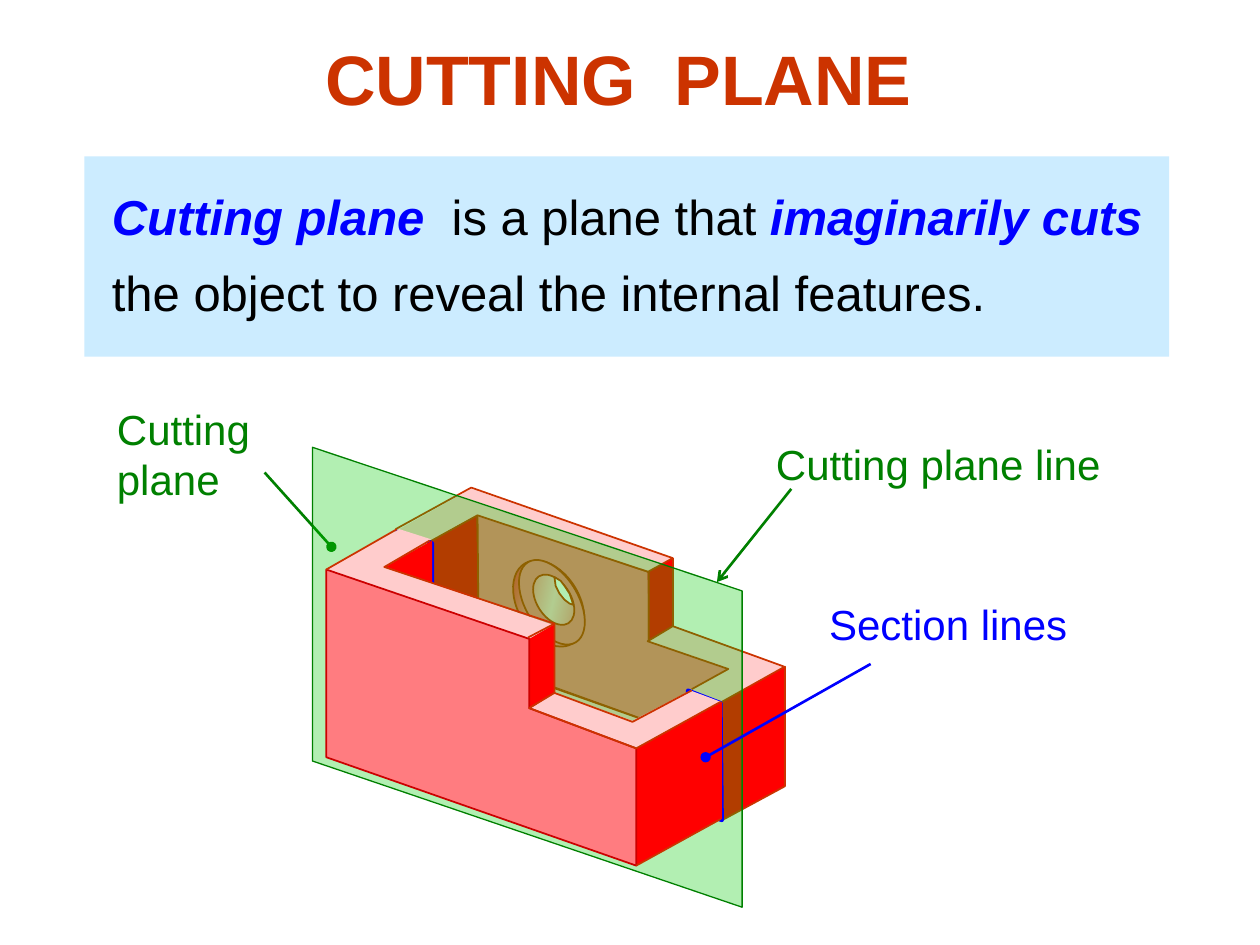
from copy import deepcopy

from lxml.etree import SubElement
from pptx import Presentation
from pptx.dml.color import RGBColor
from pptx.enum.shapes import MSO_CONNECTOR as Connector, MSO_SHAPE as Preset
from pptx.enum.text import MSO_ANCHOR as Anchor, MSO_AUTO_SIZE as AutoSize, PP_ALIGN as Align
from pptx.oxml.ns import qn
from pptx.util import Emu, Pt

SCALE = 9144
COLORS = {
    "title": "CC3300", "edge": "CC3300", "front edge": "CC0000", "green": "008000",
    "glass": "00CC00", "blue": "0000FF", "black": "000000", "panel": "CCECFF",
    "red": "FF0000", "top": "FFCCCC", "face": "FF7C80", "white": "FFFFFF",
    "rim light": "FFB2B2", "hole light": "FFCDCE",
}


def px(value):
    return Emu(value * SCALE)


def rgb(name):
    return RGBColor.from_string(COLORS[name])


class SlideBuilder:
    font = "Arial"

    def __init__(self, page):
        self.page = page
        self.shapes = page.shapes

    def style(self, shape, fill=None, line=None, width=1.0):
        shape.shadow.inherit = False
        if fill:
            shape.fill.solid()
            shape.fill.fore_color.rgb = rgb(fill)
        else:
            shape.fill.background()
        if line:
            shape.line.color.rgb = rgb(line)
            shape.line.width = Pt(width)
        else:
            shape.line.fill.background()
        return shape

    def rectangle(self, left, top, width, height, fill):
        box = self.shapes.add_shape(Preset.RECTANGLE, *map(px, (left, top, width, height)))
        return self.style(box, fill)

    def ellipse(self, left, top, width, height, rotation, dark, light=None):
        oval = self.shapes.add_shape(Preset.OVAL, *map(px, (left, top, width, height)))
        self.style(oval, dark, "edge")
        oval.rotation = rotation
        if light:
            oval.fill.gradient()
            oval.fill.gradient_angle = 315
            stops = oval._element.spPr.find(".//" + qn("a:gsLst"))
            stops.insert(1, deepcopy(stops[0]))
            for stop, position, color in zip(oval.fill.gradient_stops, (0, 0.5, 1), (dark, light, dark)):
                stop.position = position
                stop.color.rgb = rgb(color)

    def outline(self, points, fill=None, line=None, width=1.0, closed=False, alpha=None):
        builder = self.shapes.build_freeform(*points[0], scale=SCALE)
        builder.add_line_segments(points[1:], close=closed or bool(fill))
        shape = self.style(builder.convert_to_shape(), fill, line, width)
        if alpha:
            color = shape._element.spPr.find(qn("a:solidFill"))[0]
            SubElement(color, qn("a:alpha"), val=str(alpha * 1000))

    def line(self, start, end, color="edge", width=1.0, head=None):
        link = self.shapes.add_connector(Connector.STRAIGHT, *map(px, (*start, *end)))
        link.line.color.rgb = rgb(color)
        link.line.width = Pt(width)
        properties = link._element.spPr
        if head:
            SubElement(properties.find(qn("a:ln")), qn("a:headEnd"), type=head)
        SubElement(properties, qn("a:effectLst"))

    def add_lines(self, frame, lines, size, align=Align.LEFT, spacing=None, wrap=False):
        frame.word_wrap = wrap
        frame.auto_size = AutoSize.NONE
        frame.vertical_anchor = Anchor.TOP
        for index, runs in enumerate(lines):
            para = frame.add_paragraph() if index else frame.paragraphs[0]
            para.alignment = align
            if spacing:
                para.line_spacing = spacing
            for text, color, bold, italic in runs:
                span = para.add_run()
                span.text = text
                span.font.name = self.font
                span.font.size = Pt(size)
                span.font.bold = bold
                span.font.italic = italic
                span.font.color.rgb = rgb(color)

    def title(self, left, top, width, height, text):
        box = self.page.shapes.title
        box.left, box.top, box.width, box.height = map(px, (left, top, width, height))
        self.add_lines(box.text_frame, [[(text, "title", True, False)]], 40, Align.CENTER)

    def text(self, left, top, width, height, lines, size, **layout):
        box = self.shapes.add_textbox(*map(px, (left, top, width, height)))
        self.add_lines(box.text_frame, lines, size, **layout)

    def label(self, left, top, width, height, words, color, align=Align.LEFT):
        lines = [[(word, color, False, False)] for word in words]
        self.text(left, top, width, height, lines, 24, align=align)


def draw_rear_half(slide):
    faces = [
        ([(380, 524), (580, 596), (580, 531), (515, 508), (515, 454), (378, 408)], "face", "edge"),
        ([(342, 545), (380, 525), (378, 408), (342, 429)], "red", None),
        ([(571, 652), (623, 624), (623, 529), (571, 558)], "red", None),
        ([(515, 509), (534, 497), (534, 443), (514, 454)], "red", None),
        ([(535, 497), (623, 529), (570, 558), (547, 548), (577, 531), (514, 509)], "top", None),
        ([(378, 409), (514, 454), (534, 443), (374, 388), (315, 421), (340, 430)], "top", None),
    ]
    for points, fill, line in faces:
        slide.outline(points, fill, line)
    slide.ellipse(411, 442, 49, 74, 329.3, "red", "rim light")
    slide.outline([(341, 546), (416, 572), (421, 570), (432, 573), (451, 565), (473, 573), (471, 585),
                   (472, 591), (481, 593), (545, 616), (546, 584), (380, 524)], "top")
    slide.ellipse(417, 441, 42, 74, 329.3, "face")
    slide.ellipse(426, 454, 27, 44, 328, "face", "hole light")
    slide.outline([(440, 458), (441, 465), (444, 471), (448, 476), (452, 479), (455, 480),
                   (452, 471), (448, 465), (445, 461)], "white", "edge")
    edges = [
        [(573, 651), (623, 624), (623, 529), (573, 557)],
        [(549, 547), (578, 531), (514, 509), (534, 497), (622, 529)],
        [(515, 509), (515, 454), (379, 409), (341, 430)],
        [(514, 454), (534, 443), (374, 387), (314, 420)],
        [(379, 409), (380, 525), (544, 583)],
    ]
    for points in edges:
        slide.outline(points, line="edge")
    slide.line((534, 443), (534, 498))


def draw_section(slide):
    slide.outline([(248, 355), (248, 604), (589, 720), (589, 469)], "glass", "green", 0.75, alpha=30)
    sections = [
        [(343, 431), (343, 547), (413, 572), (418, 573), (421, 570), (434, 574), (434, 605),
         (315, 564), (315, 422)],
        [(573, 651), (572, 558), (546, 548), (546, 617), (479, 594), (475, 592), (471, 587),
         (460, 583), (460, 613)],
    ]
    for points in sections:
        slide.outline(points, line="blue", width=2.25, closed=True)


def draw_front_half(slide):
    faces = [
        ([(305, 450), (343, 463), (343, 429)], "red", None),
        ([(505, 687), (573, 650), (573, 557), (505, 594)], "red", None),
        ([(420, 563), (440, 551), (440, 495), (420, 507)], "red", None),
        ([(420, 563), (505, 593), (572, 557), (548, 548), (502, 572), (440, 550)], "top", None),
        ([(259, 452), (420, 507), (439, 496), (306, 450), (342, 428), (317, 420)], "top", None),
        ([(259, 601), (505, 687), (505, 594), (420, 562), (420, 507), (259, 452)], "face", "front edge"),
    ]
    for points, fill, line in faces:
        slide.outline(points, fill, line)
    slide.outline([(549, 548), (502, 573), (440, 550), (420, 562), (505, 594), (572, 557)], line="edge")
    slide.outline([(440, 550), (440, 495), (305, 450), (341, 429)], line="edge")
    for start, end in [((315, 420), (259, 452)), ((419, 506), (440, 495)), ((505, 687), (572, 650))]:
        slide.line(start, end)


def main():
    deck = Presentation()
    deck.slide_width, deck.slide_height = px(1000), px(750)
    slide = SlideBuilder(deck.slides.add_slide(deck.slide_layouts[5]))
    slide.title(248, 23, 486, 77, "CUTTING  PLANE")
    slide.line((263, 434), (210, 375), "green", 1.5, "oval")
    slide.label(83, 315, 126, 90, ["Cutting", "plane"], "green")
    slide.label(606, 343, 278, 50, ["Cutting plane line"], "green")
    slide.line((569, 462), (628, 388), "green", 1.5, "arrow")
    draw_rear_half(slide)
    draw_section(slide)
    draw_front_half(slide)
    slide.rectangle(67, 124, 861, 159, "panel")
    definition = [
        [("Cutting plane", "blue", True, True), ("  is a plane that ", "black", False, False),
         ("imaginarily cuts", "blue", True, True)],
        [("the object to reveal the internal features.", "black", False, False)],
    ]
    slide.text(79, 129, 850, 132, definition, 28, spacing=1.3, wrap=True)
    slide.line((560, 601), (691, 527), "blue", 1.5, "oval")
    slide.label(648, 470, 209, 50, ["Section lines"], "blue", Align.CENTER)
    deck.save("out.pptx")


if __name__ == "__main__":
    main()
